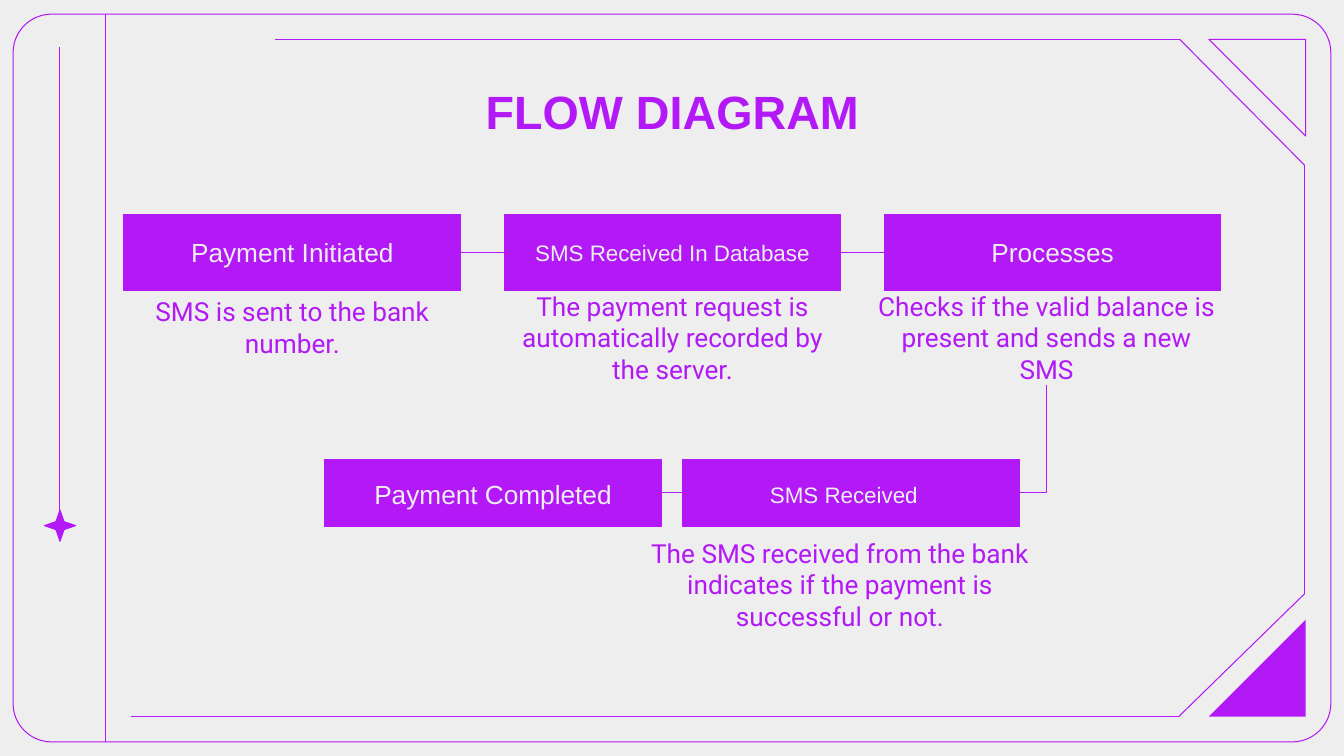
from itertools import pairwise

from lxml import etree
from pptx import Presentation
from pptx import util as u
from pptx.dml.color import RGBColor
from pptx.enum import shapes, text
from pptx.oxml import ns

PX = 9144
VIOLET = RGBColor(0xB2, 0x19, 0xF6)
PALE = RGBColor(0xEE, 0xEE, 0xEE)
KIND = shapes.MSO_SHAPE
LINK = shapes.MSO_CONNECTOR
BODY = {"name": "Roboto", "size": u.Pt(18.7)}
LABEL = {"name": "Arial", "size": u.Pt(18.7)}
SMALL = {"name": "Arial", "size": u.Pt(16)}
HEAD = {"name": "Arial", "size": u.Pt(33.3), "bold": True}


def emu(*nums):
    """Turn px lengths into EMU."""
    return [u.Emu(round(num * PX)) for num in nums]


def style(item, values):
    """Set each named value on an item."""
    for name, value in values.items():
        setattr(item, name, value)


def write(shape, words, font, tint, pads=(13, 13, 13, 13)):
    """Put one centred paragraph in a shape."""
    left, top, right, low = emu(*pads)
    frame = shape.text_frame
    style(frame, {
        "text": words, "word_wrap": True,
        "auto_size": text.MSO_AUTO_SIZE.NONE,
        "vertical_anchor": text.MSO_ANCHOR.MIDDLE,
        "margin_left": left, "margin_top": top,
        "margin_right": right, "margin_bottom": low,
    })
    para = frame.paragraphs[0]
    para.alignment = text.PP_ALIGN.CENTER
    style(para.font, font)
    para.font.color.rgb = tint


def draw(slide, kind, box, fill=True, line=True):
    """Add a violet preset shape."""
    shape = slide.shapes.add_shape(kind, *emu(*box))
    shape.shadow.inherit = False
    if fill:
        shape.fill.solid()
        shape.fill.fore_color.rgb = VIOLET
    else:
        shape.fill.background()
    if line:
        shape.line.color.rgb = VIOLET
        shape.line.width = u.Pt(0.75)
    else:
        shape.line.fill.background()
    return shape


def rule(slide, start, end, kind=LINK.STRAIGHT):
    """Add a thin violet connector."""
    link = slide.shapes.add_connector(kind, *emu(*start, *end))
    link.line.color.rgb = VIOLET
    link.line.width = u.Pt(0.75)
    etree.SubElement(link._element.spPr, ns.qn("a:effectLst"))
    return link


def join(slide, first, out, second, into, kind=LINK.STRAIGHT):
    """Connect the sides of two shapes."""
    link = rule(slide, (0, 0), (0, 0), kind)
    link.begin_connect(first, out)
    link.end_connect(second, into)
    return link


def bend(slide, first, second):
    """Connect a bottom side down and left to a right side."""
    link = join(slide, first, 2, second, 3, LINK.ELBOW)
    wide, high = link.width, link.height
    shift = (wide - high) // 2
    style(link, {"left": link.left + shift, "top": link.top - shift,
                 "width": high, "height": wide})
    props = link._element.spPr
    for flip in ("flipH", "flipV"):
        props.xfrm.attrib.pop(flip, None)
    props.xfrm.set("rot", "5400000")
    props.find(ns.qn("a:prstGeom")).set("prst", "bentConnector2")


def border(slide, box):
    """Draw the rounded frame, the cut inner line and the corners."""
    x, y, wide, high = box
    frame = draw(slide, KIND.ROUNDED_RECTANGLE, box, fill=False)
    frame.adjustments[0] = 0.053
    rule(slide, (x + 92, y), (x + 92, y + high))
    turns = [(260, 25), (1157, 25), (1281, 150),
             (1281, 575), (1156, 697), (117, 697)]
    for start, end in pairwise((x + dx, y + dy) for dx, dy in turns):
        rule(slide, start, end)
    for dy, turn, fill in ((25, 270, False), (601, 0, True)):
        wedge = draw(slide, KIND.RIGHT_TRIANGLE, (x + wide - 121, y + dy, 96, 96),
                     fill=fill, line=not fill)
        wedge.rotation = turn
        wedge._element.spPr.xfrm.set("flipH", "1")


def rail(slide, box):
    """Draw the side line that ends in a star."""
    x, y, wide, high = box
    star = draw(slide, KIND.STAR_4_POINT, (x, y + high - wide, wide, wide))
    star.adjustments[0] = 0.182
    mid = x + wide / 2
    rule(slide, (mid, y + high), (mid, y))


def title(slide, box):
    """Place the slide title."""
    shape = slide.shapes.title
    style(shape, dict(zip(("left", "top", "width", "height"), emu(*box))))
    write(shape, "FLOW DIAGRAM", HEAD, VIOLET)


def row(slide, box, pitch, steps, drop=0):
    """Place a row of equal step boxes."""
    x, y, wide, high = box
    made = []
    for num, (words, font, trim) in enumerate(steps):
        step = draw(slide, KIND.RECTANGLE, (x + num * pitch, y, wide, high))
        write(step, words, font, PALE, (0, 13 + drop, trim, 13))
        made.append(step)
    return made


def note(slide, box, words):
    """Place the text under a step."""
    shape = slide.shapes.add_textbox(*emu(*box))
    write(shape, words, BODY, VIOLET)
    return shape


def flow(slide, box):
    """Place both rows of steps, their notes and links."""
    x, y = box[:2]
    start, store, check = row(slide, (x, y, 334, 75), 377, [
        ("Payment Initiated", LABEL, 0),
        ("SMS Received In Database", SMALL, 0),
        ("Processes", LABEL, 0),
    ])
    done, reply = row(slide, (x + 199, y + 243, 334, 66), 355, [
        ("Payment Completed", LABEL, 0),
        ("SMS Received", SMALL, 14),
    ], drop=3)
    notes = [
        ((0, 74, 334, 75), "SMS is sent to the bank number."),
        ((377, 84, 334, 75),
         "The payment request is automatically recorded by the server."),
        ((509, 329, 402, 75),
         "The SMS received from the bank indicates if the payment is "
         "successful or not."),
        ((732, 74, 366, 95),
         "Checks if the valid balance is present and sends a new SMS"),
    ]
    for (dx, dy, wide, high), words in notes:
        last = note(slide, (x + dx, y + dy, wide, high), words)
    for left, right in ((start, store), (store, check), (done, reply)):
        join(slide, left, 3, right, 1)
    bend(slide, last, reply)


def main():
    """Build and save the slide."""
    deck = Presentation()
    deck.slide_width, deck.slide_height = emu(1333, 750)
    slide = deck.slides.add_slide(deck.slide_layouts[5])
    slide.background.fill.solid()
    slide.background.fill.fore_color.rgb = PALE
    border(slide, (13, 14, 1307, 722))
    rail(slide, (44, 47, 31, 490))
    title(slide, (128, 79, 1078, 61))
    flow(slide, (123, 213, 1087, 404))
    deck.save("out.pptx")


if __name__ == "__main__":
    main()
